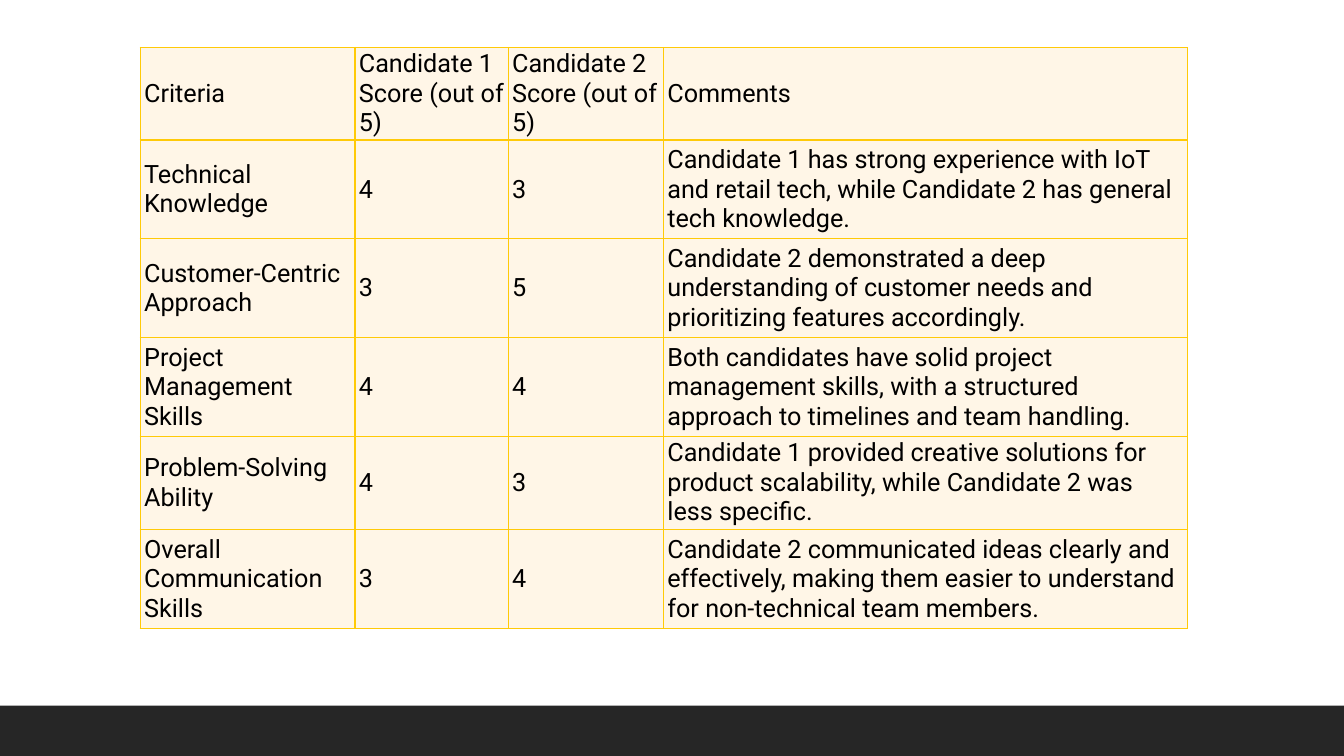
"""Build a slide with a table that compares two candidates by criteria."""
from lxml import etree
from pptx import Presentation
from pptx import util as u
from pptx.dml.color import RGBColor
from pptx.enum import shapes, text
from pptx.oxml.ns import qn

HUES = {"bar": "262626", "rule": "FFCA08", "cell": "FFF6E7", "ink": "000000"}
COLS = [2.13, 1.52, 1.54, 5.2]
ROWS = [0.91, 0.98, 0.98, 0.98, 0.91, 0.99]
DATA = [
    ("Criteria", "Candidate 1 Score (out of 5)", "Candidate 2 Score (out of 5)", "Comments"),
    ("Technical Knowledge", "4", "3",
     "Candidate 1 has strong experience with IoT and retail tech, "
     "while Candidate 2 has general tech knowledge."),
    ("Customer-Centric Approach", "3", "5",
     "Candidate 2 demonstrated a deep understanding of customer needs "
     "and prioritizing features accordingly."),
    ("Project Management Skills", "4", "4",
     "Both candidates have solid project management skills, "
     "with a structured approach to timelines and team handling."),
    ("Problem-Solving Ability", "4", "3",
     "Candidate 1 provided creative solutions for product scalability, "
     "while Candidate 2 was less specific."),
    ("Overall Communication Skills", "3", "4",
     "Candidate 2 communicated ideas clearly and effectively, "
     "making them easier to understand for non-technical team members."),
]


def paint(fill, hue):
    """Fill with one of the named colours."""
    fill.solid()
    fill.fore_color.rgb = RGBColor.from_string(HUES[hue])


def frame(cell):
    """Rule all four sides of a cell."""
    props = cell._tc.get_or_add_tcPr()
    for side in ("lnL", "lnR", "lnT", "lnB"):
        line = etree.SubElement(props, qn(f"a:{side}"), w=str(u.Pt(1)))
        solid = etree.SubElement(line, qn("a:solidFill"))
        etree.SubElement(solid, qn("a:srgbClr"), val=HUES["rule"])


deck = Presentation()
deck.slide_width, deck.slide_height = u.Inches(13.33), u.Inches(7.5)
slide = deck.slides.add_slide(deck.slide_layouts[6])

deep = deck.slide_height // 15
bar = slide.shapes.add_shape(shapes.MSO_SHAPE.RECTANGLE, 0, deck.slide_height - deep,
                             deck.slide_width, deep)
bar.shadow.inherit = False
paint(bar.fill, "bar")
bar.line.fill.background()

table = slide.shapes.add_table(len(ROWS), len(COLS), u.Inches(1.39), u.Inches(0.47),
                               u.Inches(sum(COLS)), u.Inches(sum(ROWS))).table
table.first_row = table.horz_banding = False
for col, wide in zip(table.columns, COLS):
    col.width = u.Inches(wide)
for row, tall, words in zip(table.rows, ROWS, DATA):
    row.height = u.Inches(tall)
    for cell, word in zip(row.cells, words):
        frame(cell)
        paint(cell.fill, "cell")
        cell.margin_left = cell.margin_right = u.Inches(0.04)
        cell.margin_top = cell.margin_bottom = u.Inches(0.02)
        cell.vertical_anchor = text.MSO_ANCHOR.MIDDLE
        cell.text = word
        font = cell.text_frame.paragraphs[0].font
        font.name, font.size = "Roboto", u.Pt(18)
        font.color.rgb = RGBColor.from_string(HUES["ink"])

deck.save("out.pptx")
